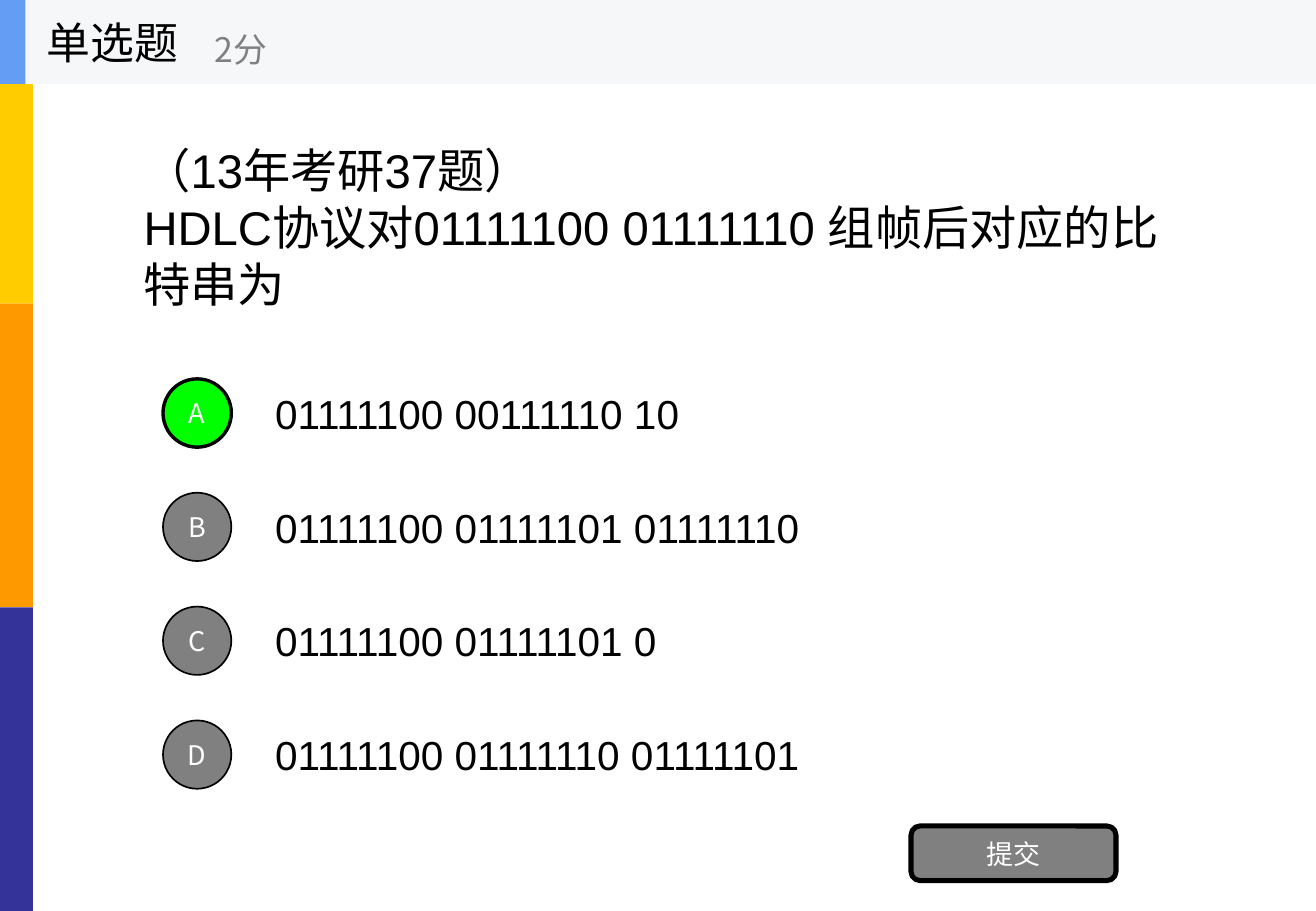
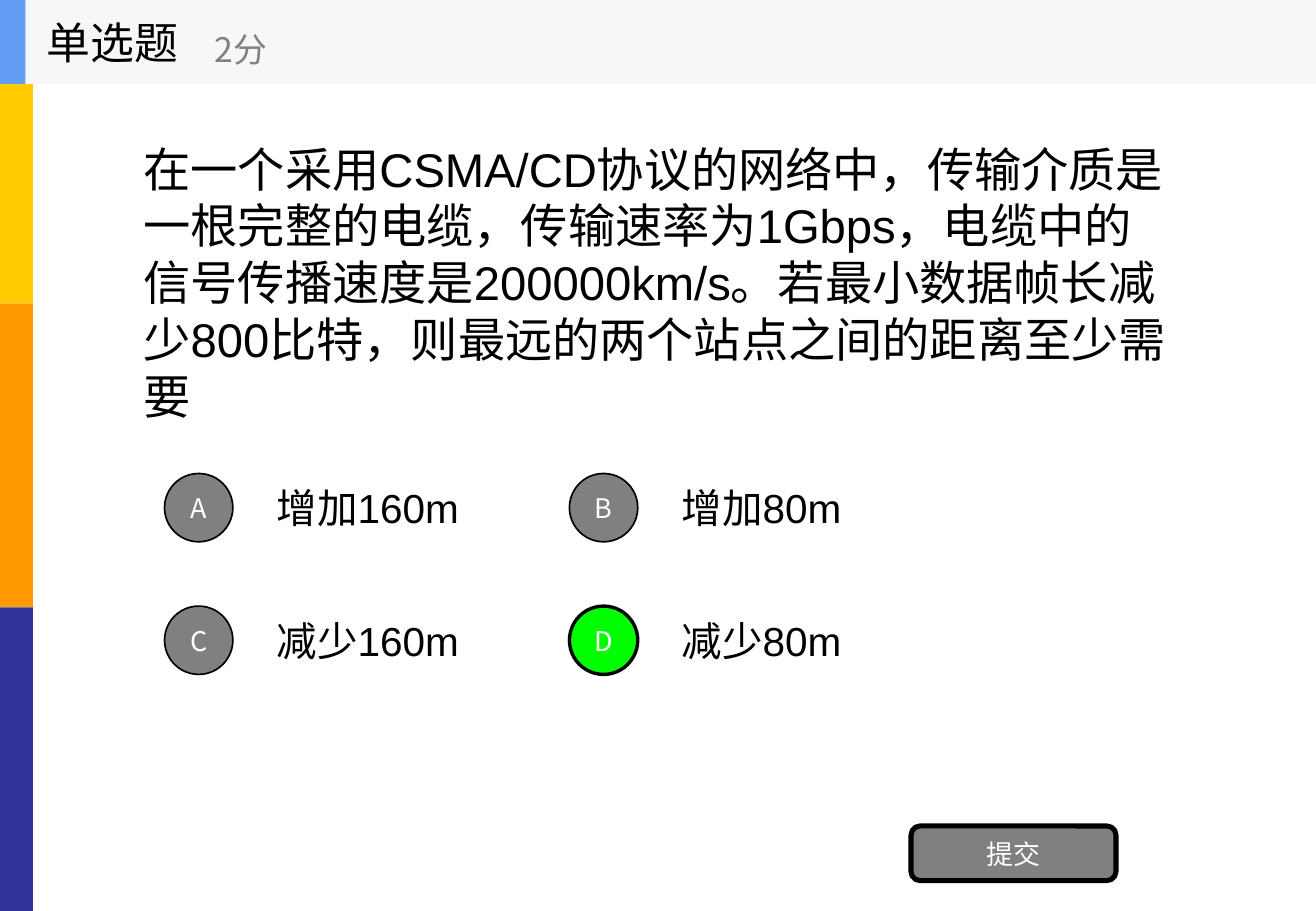
from lxml import etree
from pptx import Presentation
from pptx.dml.color import RGBColor
from pptx.enum.shapes import MSO_SHAPE
from pptx.enum.text import MSO_ANCHOR, PP_ALIGN
from pptx.oxml.ns import qn
from pptx.util import Inches, Pt

RECTANGLE = MSO_SHAPE.RECTANGLE
ELLIPSE = MSO_SHAPE.OVAL
ROUNDED = MSO_SHAPE.ROUNDED_RECTANGLE
MIDDLE = MSO_ANCHOR.MIDDLE
LEFT = PP_ALIGN.LEFT
CENTER = PP_ALIGN.CENTER

UNIT = Inches(1) / 12
COLUMNS, ROWS = 130, 90
LATIN_FONT, CJK_FONT = "Arial", "Noto Sans CJK SC"
BLACK, WHITE, GRAY, GREEN = "000000", "FFFFFF", "808080", "00FF00"
HEADER_FILL, HEADER_ACCENT = "F6F7F8", "639EF4"
BAND_COLORS = ("FFCC00", "FF9900", "333399")

QUESTIONS = [
    {
        "stem": ["（13年考研37题）",
                 "HDLC协议对01111100 01111110 组帧后对应的比特串为"],
        "stem_top": 8.3,
        "options": ["01111100 00111110 10", "01111100 01111101 01111110",
                    "01111100 01111101 0", "01111100 01111110 01111101"],
        "answer": "A",
        "grid": (16.1, 36.6, 101, 11.25),
        "columns": 1,
    },
    {
        "stem": ["在一个采用CSMA/CD协议的网络中，传输介质是一根完整的电缆，"
                 "传输速率为1Gbps，电缆中的信号传播速度是200000km/s。"
                 "若最小数据帧长减少800比特，则最远的两个站点之间的距离至少需要"],
        "stem_top": 13.8,
        "options": ["增加160m", "增加80m", "减少160m", "减少80m"],
        "answer": "D",
        "grid": (16.25, 45.95, 40, 13.1),
        "columns": 2,
    },
]


def color(value):
    return RGBColor.from_string(value)


def place(box):
    return [round(length * UNIT) for length in box]


def write(shape, lines, size, font, ink, align=LEFT, spacing=None):
    frame = shape.text_frame
    frame.word_wrap = True
    frame.vertical_anchor = MIDDLE
    for index, line in enumerate(lines):
        para = frame.paragraphs[0] if index == 0 else frame.add_paragraph()
        para.alignment = align
        if spacing:
            para.line_spacing = Pt(spacing)
        span = para.add_run()
        span.text = line
        span.font.size = Pt(size)
        span.font.name = font
        span.font.color.rgb = color(ink)
        east_asian = etree.SubElement(span.font._element, qn("a:ea"))
        east_asian.set("typeface", font)


def add_text(page, box, lines, size, font, ink=BLACK, spacing=None):
    shape = page.shapes.add_textbox(*place(box))
    write(shape, lines, size, font, ink, spacing=spacing)


def add_block(page, kind, box, fill, line_width=0, label=None):
    shape = page.shapes.add_shape(kind, *place(box))
    shape.shadow.inherit = False
    shape.fill.solid()
    shape.fill.fore_color.rgb = color(fill)
    if line_width:
        shape.line.color.rgb = color(BLACK)
        shape.line.width = Pt(line_width)
    else:
        shape.line.fill.background()
    if label:
        frame = shape.text_frame
        frame.margin_left = frame.margin_right = 0
        frame.margin_top = frame.margin_bottom = 0
        write(shape, [label], 16, CJK_FONT, WHITE, CENTER)


def add_bands(page, box):
    left, top, width, height = box
    step = height / len(BAND_COLORS)
    for index, fill in enumerate(BAND_COLORS):
        add_block(page, RECTANGLE, (left, top + index * step, width, step), fill)


def add_header(page, box):
    left, top, width, height = box
    add_block(page, RECTANGLE, box, HEADER_FILL)
    add_block(page, RECTANGLE, (left, top, 2.5, height), HEADER_ACCENT)
    add_text(page, (left + 3.4, top, 25, height), ["单选题"], 26, CJK_FONT)
    add_text(page, (left + 20, top + 1.45, 30, 6.75), ["2分"], 20, CJK_FONT, GRAY)


def add_option(page, box, letter, text, correct):
    left, top, width, height = box
    fill, line_width = (GREEN, 2) if correct else (GRAY, 1)
    badge, text_offset = 6.75, 9.9
    add_text(page, (left + text_offset, top, width - text_offset, height),
             [text], 24, LATIN_FONT)
    add_block(page, ELLIPSE, (left, top + (height - badge) / 2, badge, badge),
              fill, line_width, letter)


def add_options(page, question):
    left, top, column_step, row_step = question["grid"]
    for index, (letter, text) in enumerate(zip("ABCD", question["options"])):
        row, column = divmod(index, question["columns"])
        box = (left + column * column_step, top + row * row_step, column_step, 8.4)
        add_option(page, box, letter, text, letter == question["answer"])


def add_question(deck, question):
    page = deck.slides.add_slide(deck.slide_layouts[6])
    add_bands(page, (0, 0, 3.25, ROWS))
    add_text(page, (13, question["stem_top"], 104, 28.1), question["stem"],
             28, LATIN_FONT, spacing=33.7)
    add_options(page, question)
    add_block(page, ROUNDED, (90, 81.6, 20.25, 5.4), GRAY, 3, "提交")
    add_header(page, (0, 0, COLUMNS, 8.3))


def main():
    deck = Presentation()
    deck.slide_width, deck.slide_height = place((COLUMNS, ROWS))
    for question in QUESTIONS:
        add_question(deck, question)
    deck.save("out.pptx")


if __name__ == "__main__":
    main()
